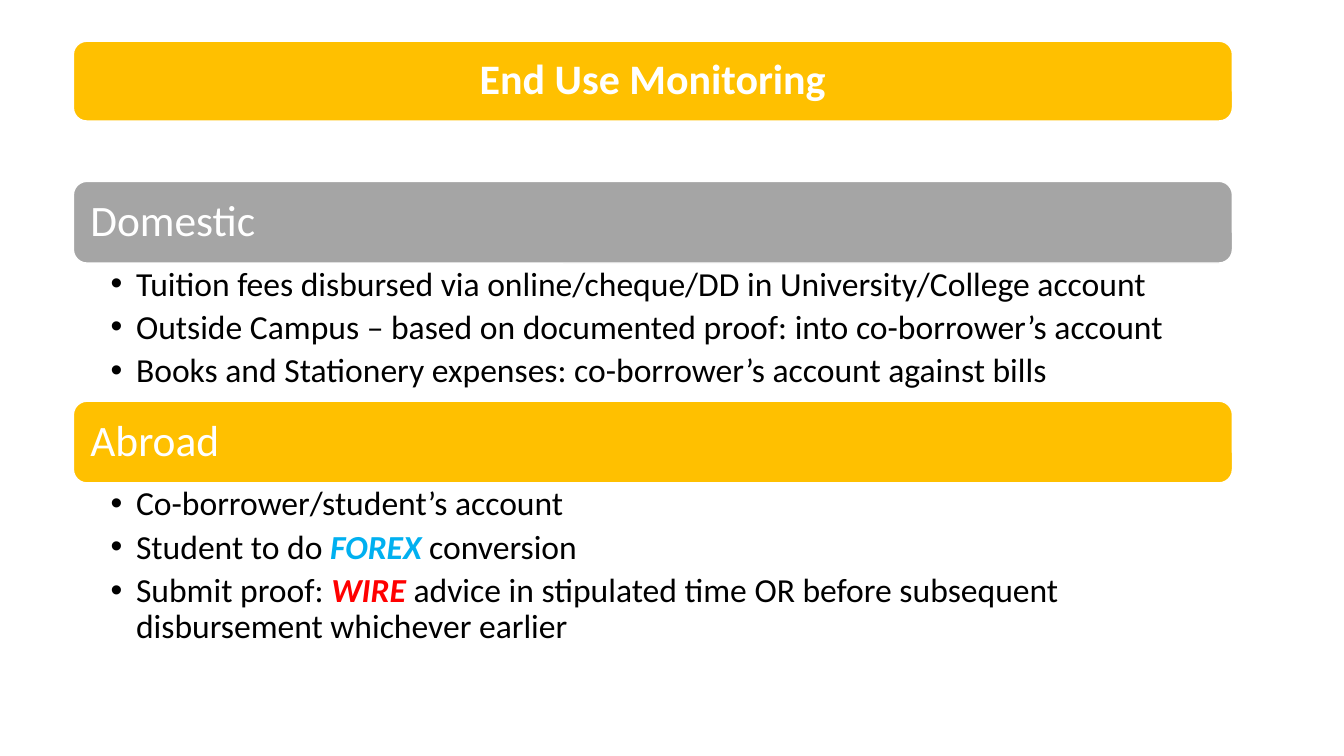
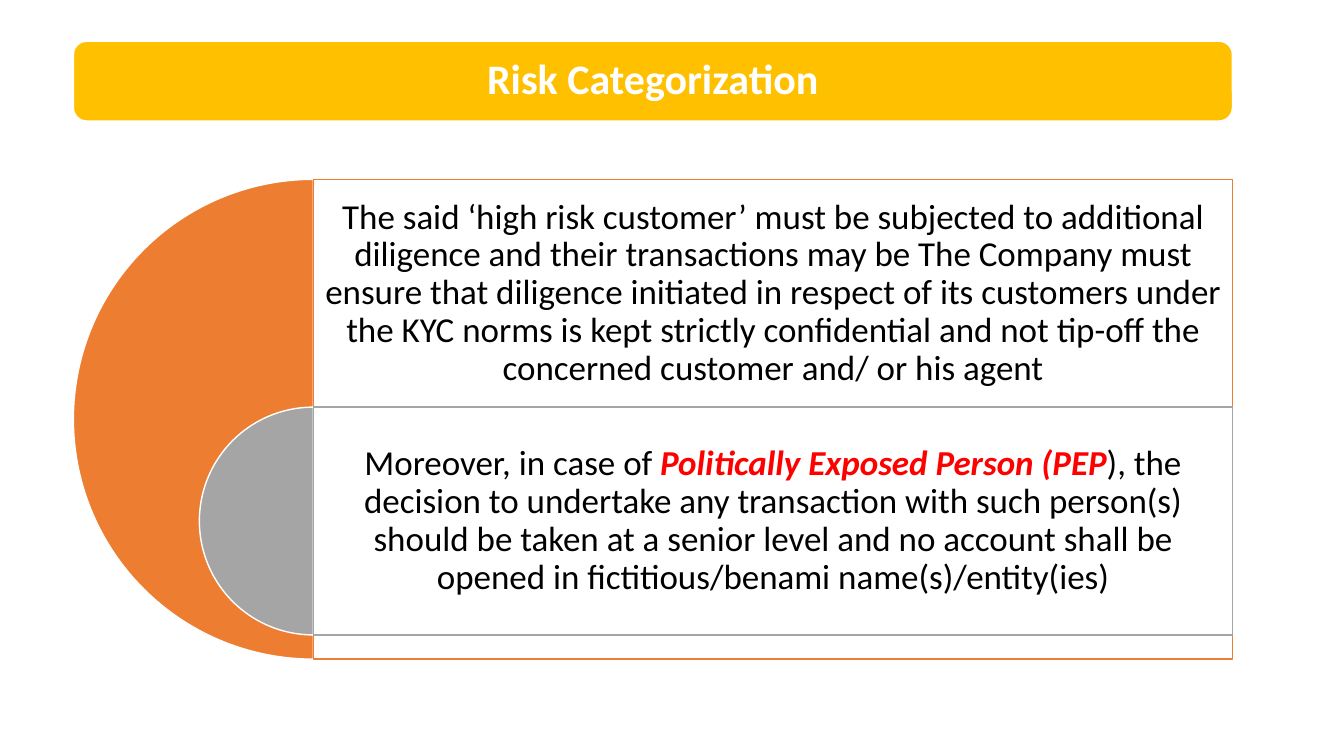
import lxml.etree
import pptx
import pptx.dml.color
import pptx.enum.shapes
import pptx.enum.text
import pptx.oxml.ns
import pptx.util

Cm = pptx.util.Cm
Pt = pptx.util.Pt
FORMS = pptx.enum.shapes.MSO_SHAPE
ALIGN = pptx.enum.text.PP_ALIGN
ANCHOR = pptx.enum.text.MSO_ANCHOR
qn = pptx.oxml.ns.qn

WHITE, BLACK, RED, BLUE = "FFFFFF", "000000", "FF0000", "00B0F0"
GOLD, GREY, ORANGE = "FFC000", "A5A5A5", "ED7D31"
LEFT, WIDTH = 1.85, 29.21
TITLE = (LEFT, 1.04, WIDTH, 2.01)


def tint(hue):
    return pptx.dml.color.RGBColor.from_string(hue)


def apply(item, values):
    for name, value in values.items():
        setattr(item, name, value)


def place(item, box):
    names = ("left", "top", "width", "height")
    apply(item, dict(zip(names, map(Cm, box))))


def draw(slide, form, box, fill, line=WHITE):
    shape = slide.shapes.add_shape(form, *map(Cm, box))
    shape.shadow.inherit = False
    shape.fill.solid()
    shape.fill.fore_color.rgb = tint(fill)
    shape.line.color.rgb = tint(line)
    shape.line.width = Pt(1)
    return shape


def write(shape, paras, size, pads, hue=BLACK, bold=False,
          align=ALIGN.LEFT, anchor=ANCHOR.MIDDLE, bullet=False):
    frame = shape.text_frame
    sides = ("margin_left", "margin_top", "margin_right", "margin_bottom")
    apply(frame, dict(zip(sides, map(Cm, pads))))
    apply(frame, {"word_wrap": True, "vertical_anchor": anchor,
                  "auto_size": pptx.enum.text.MSO_AUTO_SIZE.NONE})
    for index, runs in enumerate(paras):
        para = frame.add_paragraph() if index else frame.paragraphs[0]
        apply(para, {"alignment": align, "line_spacing": 0.9,
                     "space_before": Pt(0), "space_after": Pt(5)})
        if bullet:
            props = para._p.get_or_add_pPr()
            props.set("marL", str(Cm(0.64)))
            props.set("indent", str(Cm(-0.64)))
            lxml.etree.SubElement(props, qn("a:buFont")).set("typeface", "Arial")
            lxml.etree.SubElement(props, qn("a:buChar")).set("char", "•")
        for text, accent in runs:
            run = para.add_run()
            run.text = text
            apply(run.font, {"name": "Calibri", "size": Pt(size),
                             "bold": bold or bool(accent),
                             "italic": bool(accent)})
            run.font.color.rgb = tint(accent or hue)


def start(deck, text):
    slide = deck.slides.add_slide(deck.slide_layouts[5])
    title = slide.shapes.title
    band = draw(slide, FORMS.ROUNDED_RECTANGLE, TITLE, GOLD)
    title.element.addprevious(band.element)
    place(title, TITLE)
    write(title, [[(text, None)]], 30, [0.3] * 4, WHITE, True, ALIGN.CENTER)
    return slide


def section(slide, box, head, fill, paras):
    left, top, width, height = box
    bar = 2.06
    shape = draw(slide, FORMS.ROUNDED_RECTANGLE, (left, top, width, bar), fill)
    write(shape, [[(head, None)]], 31, [0.33] * 4, WHITE)
    area = (left, top + bar, width, height - bar)
    text = slide.shapes.add_textbox(*map(Cm, area))
    write(text, paras, 24, (0.94, 0.1, 0.61, 0.1),
          anchor=ANCHOR.TOP, bullet=True)


def panel(slide, box, row, hue, runs):
    left, top, width, height = box
    pie = draw(slide, FORMS.PIE,
               (left - height / 2, top, height, height), hue)
    for index, angle in enumerate((90, 270)):
        pie.adjustments[index] = angle * 0.6
    shape = draw(slide, FORMS.RECTANGLE, box, WHITE, hue)
    paint = shape.element.spPr.find(qn("a:solidFill")).find(qn("a:srgbClr"))
    lxml.etree.SubElement(paint, qn("a:alpha")).set("val", "90000")
    pad = 0.25
    write(shape, [runs], 25, (pad, pad, pad, height - row + pad),
          align=ALIGN.CENTER)


def usage(deck):
    slide = start(deck, "End Use Monitoring")
    parts = [
        ("Domestic", GREY, 5.54, [
            [("Tuition fees disbursed via online/cheque/DD in "
              "University/College account", None)],
            [("Outside Campus – based on documented proof: into "
              "co-borrower’s account", None)],
            [("Books and Stationery expenses: co-borrower’s account "
              "against bills", None)]]),
        ("Abroad", GOLD, 6.43, [
            [("Co-borrower/student’s account", None)],
            [("Student to do ", None), ("FOREX", BLUE),
             (" conversion", None)],
            [("Submit proof: ", None), ("WIRE", RED),
             (" advice in stipulated time OR before subsequent "
              "disbursement whichever earlier", None)]]),
    ]
    top = 4.57
    for head, fill, height, paras in parts:
        section(slide, (LEFT, top, WIDTH, height), head, fill, paras)
        top += height


def risk(deck):
    slide = start(deck, "Risk Categorization")
    top, side, row = 4.52, 12.09, 5.74
    left, width = LEFT + side / 2, WIDTH - side / 2
    panel(slide, (left, top, width, side), row, ORANGE, [
        ("The said ‘high risk customer’ must be subjected to additional "
         "diligence and their transactions may be The Company must ensure "
         "that diligence initiated in respect of its customers under the "
         "KYC norms is kept strictly confidential and not tip-off the "
         "concerned customer and/ or his agent", None)])
    panel(slide, (left, top + row, width, row), row, GREY, [
        ("Moreover, in case of ", None),
        ("Politically Exposed Person (PEP", RED),
        ("), the decision to undertake any transaction with such person(s) "
         "should be taken at a senior level and no account shall be opened "
         "in fictitious/benami name(s)/entity(ies)", None)])


def main():
    deck = pptx.Presentation()
    apply(deck, {"slide_width": Cm(33.87), "slide_height": Cm(19.05)})
    usage(deck)
    risk(deck)
    deck.save("out.pptx")


if __name__ == "__main__":
    main()
